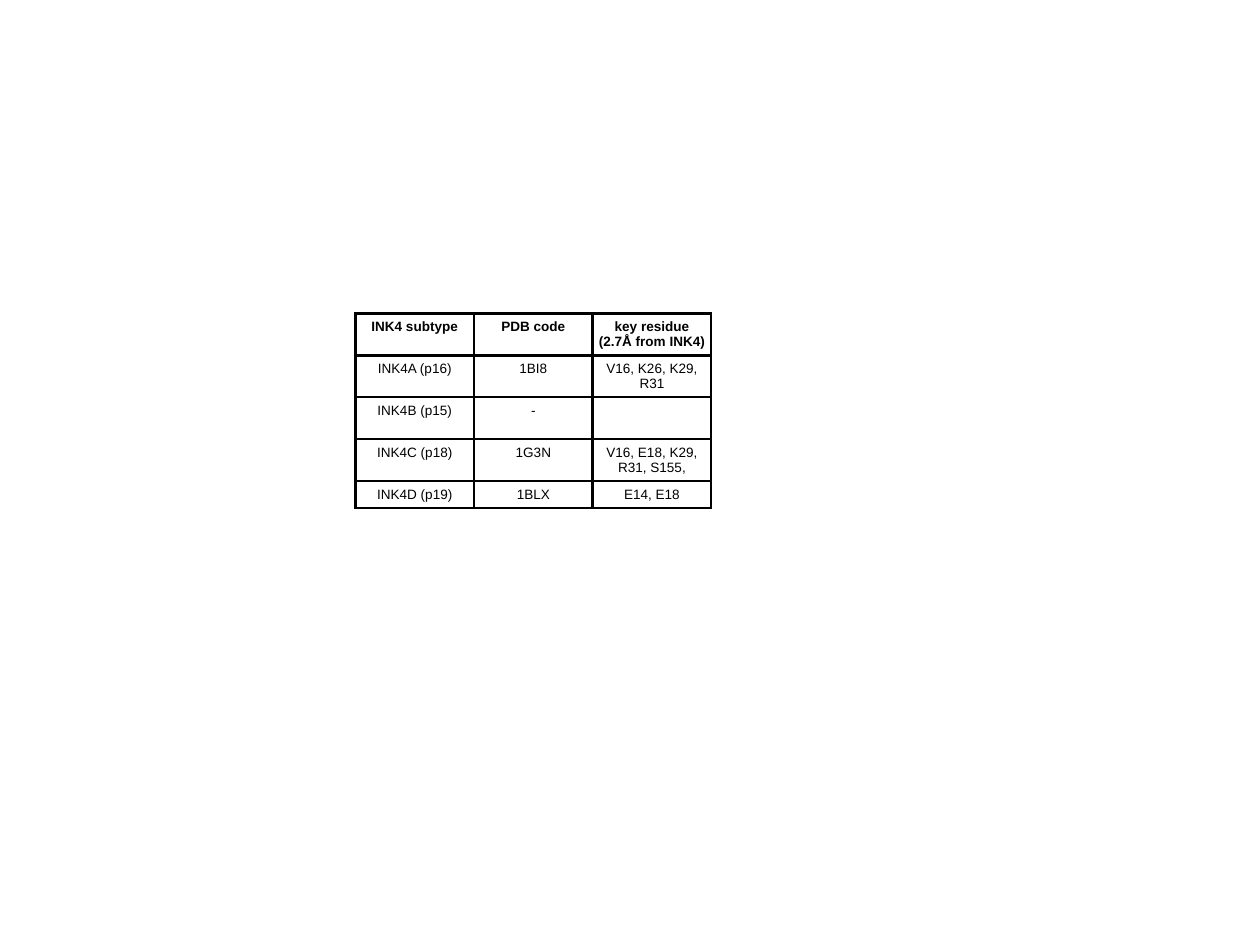
from dataclasses import dataclass

from lxml import etree
from pptx import Presentation
from pptx.dml.color import RGBColor
from pptx.enum.text import PP_ALIGN
from pptx.oxml.ns import qn
from pptx.util import Cm, Pt

CENTER = PP_ALIGN.CENTER
BLANK_LAYOUT = 6


@dataclass(frozen=True)
class Theme:
    """Colours, type and line sizes of the slide."""
    font: str = "Arial"
    text_size: float = 11
    ink: str = "000000"
    border_width: float = 2.25


@dataclass(frozen=True)
class Box:
    """Area given to a region, in centimetres."""
    left: float
    top: float
    width: float
    height: float


THEME = Theme()
RESIDUE_ROWS = [
    ("INK4 subtype", "PDB code", "key residue (2.7Å from INK4)"),
    ("INK4A (p16)", "1BI8", "V16, K26, K29, R31"),
    ("INK4B (p15)", "-", ""),
    ("INK4C (p18)", "1G3N", "V16, E18, K29, R31, S155,"),
    ("INK4D (p19)", "1BLX", "E14, E18"),
]
LAST_ROW_HEIGHT = 0.77


def draw_borders(cell):
    """Draw a solid line on all four sides of a cell."""
    properties = cell._tc.get_or_add_tcPr()
    for index, side in enumerate(("a:lnL", "a:lnR", "a:lnT", "a:lnB")):
        line = etree.Element(qn(side), w=str(Pt(THEME.border_width)))
        fill = etree.SubElement(line, qn("a:solidFill"))
        etree.SubElement(fill, qn("a:srgbClr"), val=THEME.ink)
        properties.insert(index, line)


def write_cell(cell, text, bold):
    """Format a cell and write its centred text."""
    cell.fill.background()
    cell.margin_left = cell.margin_right = cell.margin_top = Cm(0.17)
    cell.margin_bottom = Cm(0.13)
    draw_borders(cell)
    para = cell.text_frame.paragraphs[0]
    para.alignment = CENTER
    if text:
        run = para.add_run()
        run.text = text
        run.font.name = THEME.font
        run.font.size = Pt(THEME.text_size)
        run.font.bold = bold
        run.font.color.rgb = RGBColor.from_string(THEME.ink)


def add_residue_table(page, box):
    """Place the INK4 residue table in the box."""
    row_count, column_count = len(RESIDUE_ROWS), len(RESIDUE_ROWS[0])
    table = page.shapes.add_table(
        row_count, column_count,
        Cm(box.left), Cm(box.top), Cm(box.width), Cm(box.height)).table
    table.first_row = False
    table.horz_banding = False
    for column in table.columns:
        column.width = Cm(box.width / column_count)
    for row in table.rows:
        row.height = Cm((box.height - LAST_ROW_HEIGHT) / (row_count - 1))
    table.rows[row_count - 1].height = Cm(LAST_ROW_HEIGHT)
    for row_index, texts in enumerate(RESIDUE_ROWS):
        for column_index, text in enumerate(texts):
            write_cell(table.cell(row_index, column_index), text, row_index == 0)


def main():
    """Build and save the deck."""
    deck = Presentation()
    deck.slide_width, deck.slide_height = Cm(36.12), Cm(27.1)
    page = deck.slides.add_slide(deck.slide_layouts[BLANK_LAYOUT])
    add_residue_table(page, Box(10.19, 8.99, 10.2, 5.57))
    deck.save("out.pptx")


if __name__ == "__main__":
    main()
